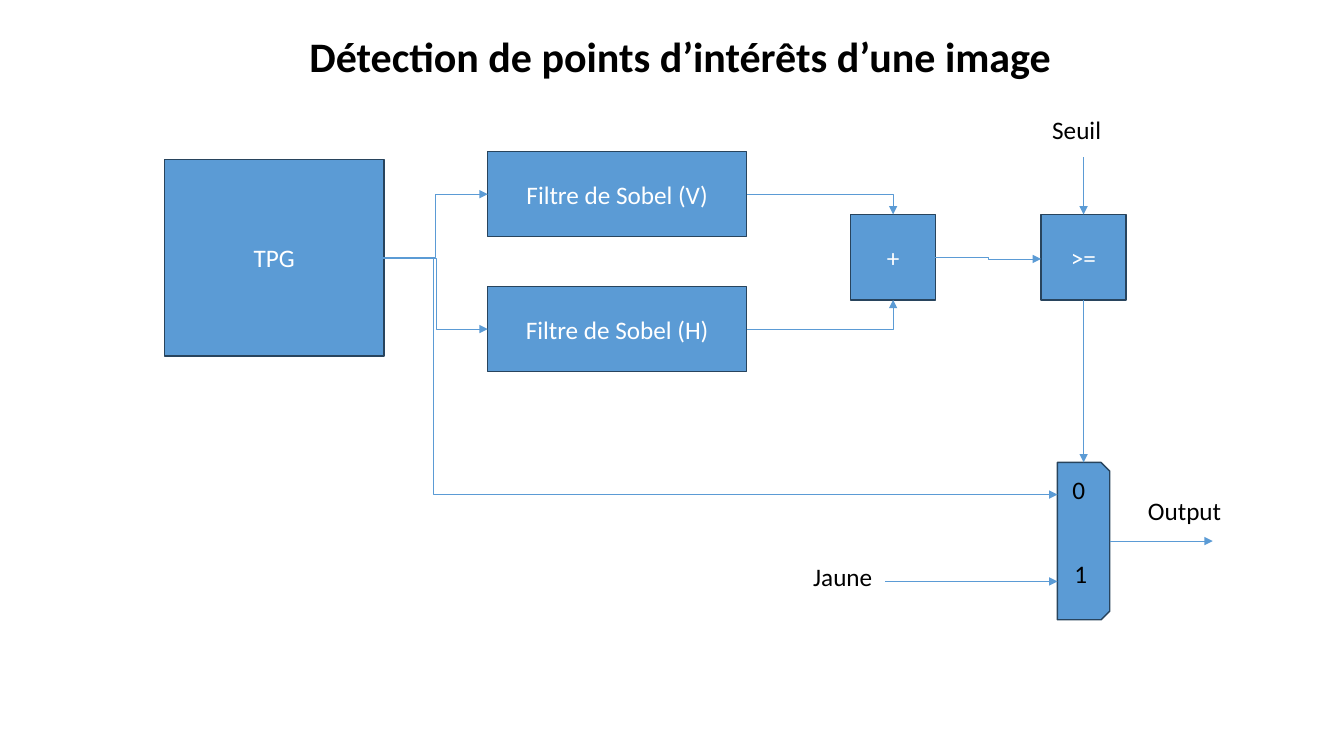
from dataclasses import dataclass

from lxml.etree import SubElement
from pptx import Presentation
from pptx.dml.color import RGBColor
from pptx.enum.shapes import MSO_CONNECTOR, MSO_SHAPE
from pptx.enum.text import MSO_ANCHOR, MSO_AUTO_SIZE, PP_ALIGN
from pptx.oxml.ns import qn
from pptx.util import Pt


@dataclass(frozen=True)
class Theme:
    font: str = "Calibri"
    title_size: int = 30
    text_size: int = 18
    blue: RGBColor = RGBColor(0x5B, 0x9B, 0xD5)
    outline: RGBColor = RGBColor(0x28, 0x44, 0x5D)
    black: RGBColor = RGBColor(0, 0, 0)
    white: RGBColor = RGBColor(255, 255, 255)


theme = Theme()


def write_text(shape, text, size, color, alignment, anchor, bold=False):
    frame = shape.text_frame
    frame.text = text
    frame.word_wrap = False
    frame.auto_size = MSO_AUTO_SIZE.NONE
    frame.vertical_anchor = anchor
    paragraph = frame.paragraphs[0]
    paragraph.alignment = alignment
    paragraph.font.name = theme.font
    paragraph.font.size = Pt(size)
    paragraph.font.bold = bold
    paragraph.font.color.rgb = color


def add_block(kind, left, top, width, height):
    block = slide.shapes.add_shape(kind, Pt(left), Pt(top), Pt(width), Pt(height))
    block.shadow.inherit = False
    block.fill.solid()
    block.fill.fore_color.rgb = theme.blue
    block.line.color.rgb = theme.outline
    block.line.width = Pt(1)
    return block


presentation = Presentation()
presentation.slide_width = Pt(960)
presentation.slide_height = Pt(540)
slide = presentation.slides.add_slide(presentation.slide_layouts[5])

# Title
title = slide.shapes.title
title.left, title.top, title.width, title.height = Pt(213.8), Pt(18), Pt(560), Pt(44)
write_text(title, "Détection de points d’intérêts d’une image", theme.title_size,
           theme.black, PP_ALIGN.LEFT, MSO_ANCHOR.TOP, bold=True)

# Processing blocks
for text, left, top, width, height in [
    ("TPG", 117.4, 113.8, 157, 140.6),
    ("Filtre de Sobel (V)", 348.4, 108.2, 185, 61),
    ("Filtre de Sobel (H)", 348.4, 204.6, 185, 61),
    ("+", 607.6, 153.2, 60.6, 61),
    (">=", 743.6, 153.2, 60.6, 61),
]:
    block = add_block(MSO_SHAPE.RECTANGLE, left, top, width, height)
    write_text(block, text, theme.text_size, theme.white, PP_ALIGN.CENTER, MSO_ANCHOR.MIDDLE)

# Multiplexer
multiplexer = add_block(MSO_SHAPE.SNIP_2_SAME_RECTANGLE, 717.8, 367.8, 112.4, 37.4)
multiplexer.rotation = 90

# Arrows: preset, start, end, position of the bend
for preset, start, end, bend in [
    ("bentConnector2", (533.4, 138.7), (638, 153.2), None),
    ("bentConnector2", (533.4, 235), (638, 214.2), None),
    ("bentConnector3", (668.2, 183.7), (743.6, 185), 0.5),
    ("bentConnector3", (263, 183.9), (348.4, 138.7), 0.564),
    ("bentConnector3", (274.4, 184.3), (348.4, 235), 0.5),
    ("bentConnector3", (263, 184.7), (755.4, 353.3), 0.095),
    ("line", (774, 112.4), (774, 153.2), None),
    ("line", (774, 214.2), (774, 330.3), None),
    ("line", (632.2, 415.3), (755.4, 415.3), None),
    ("line", (792.7, 386.5), (866.2, 386.5), None),
]:
    kind = MSO_CONNECTOR.STRAIGHT if preset == "line" else MSO_CONNECTOR.ELBOW
    arrow = slide.shapes.add_connector(kind, *map(Pt, start + end))
    arrow.line.color.rgb = theme.blue
    arrow.line.width = Pt(0.5)
    properties = arrow.element.spPr
    SubElement(properties.find(qn("a:ln")), qn("a:tailEnd"), type="triangle")
    SubElement(properties, qn("a:effectLst"))
    geometry = properties.find(qn("a:prstGeom"))
    geometry.set("prst", preset)
    if bend is not None:
        SubElement(geometry.find(qn("a:avLst")), qn("a:gd"),
                   name="adj1", fmla=f"val {round(bend * 100000)}")

# Signal labels
for text, left, top, width, height in [
    ("Seuil", 744.5, 77.8, 58.3, 35.3),
    ("Output", 812.9, 350.6, 78.5, 35.3),
    ("Jaune", 573.8, 397.4, 57.6, 28.8),
    ("0", 758.9, 335.5, 27.4, 35.3),
    ("1", 760.3, 395.3, 27.4, 35.3),
]:
    label = slide.shapes.add_textbox(Pt(left), Pt(top), Pt(width), Pt(height))
    write_text(label, text, theme.text_size, theme.black, PP_ALIGN.LEFT, MSO_ANCHOR.TOP)

presentation.save("out.pptx")
